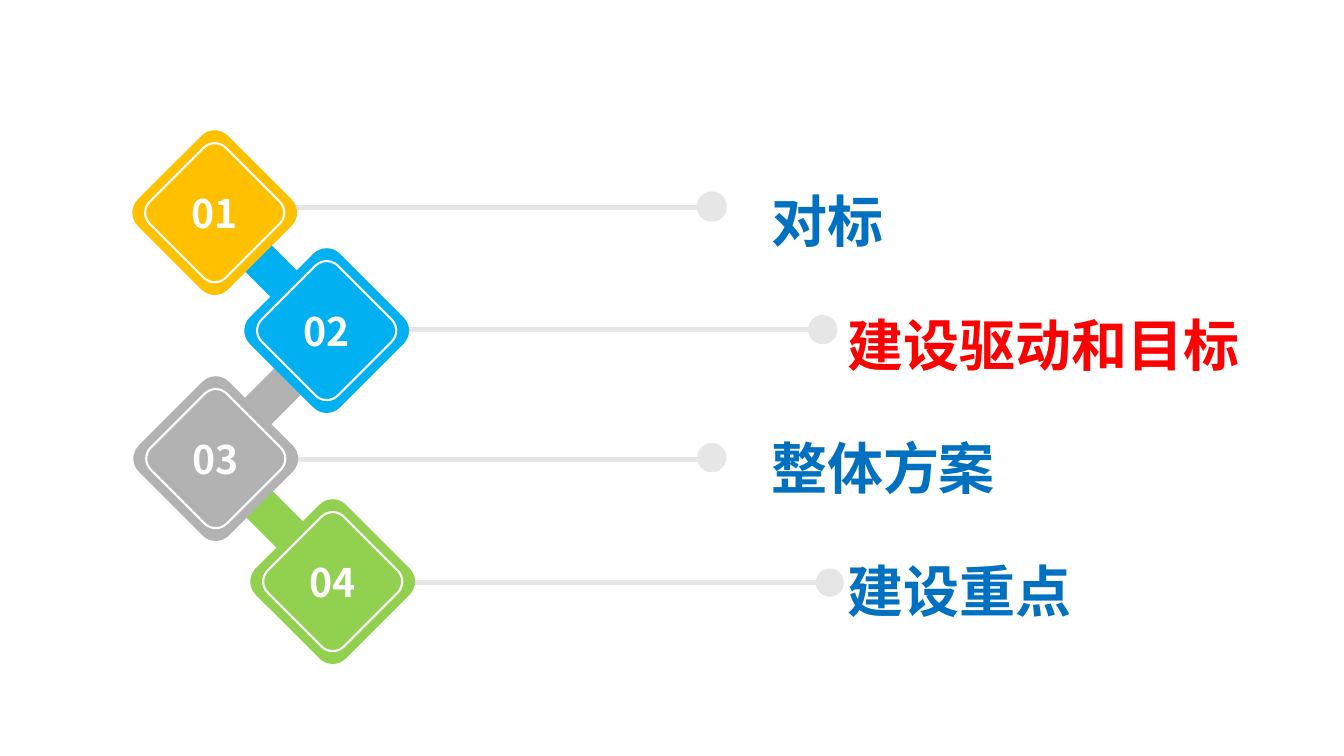
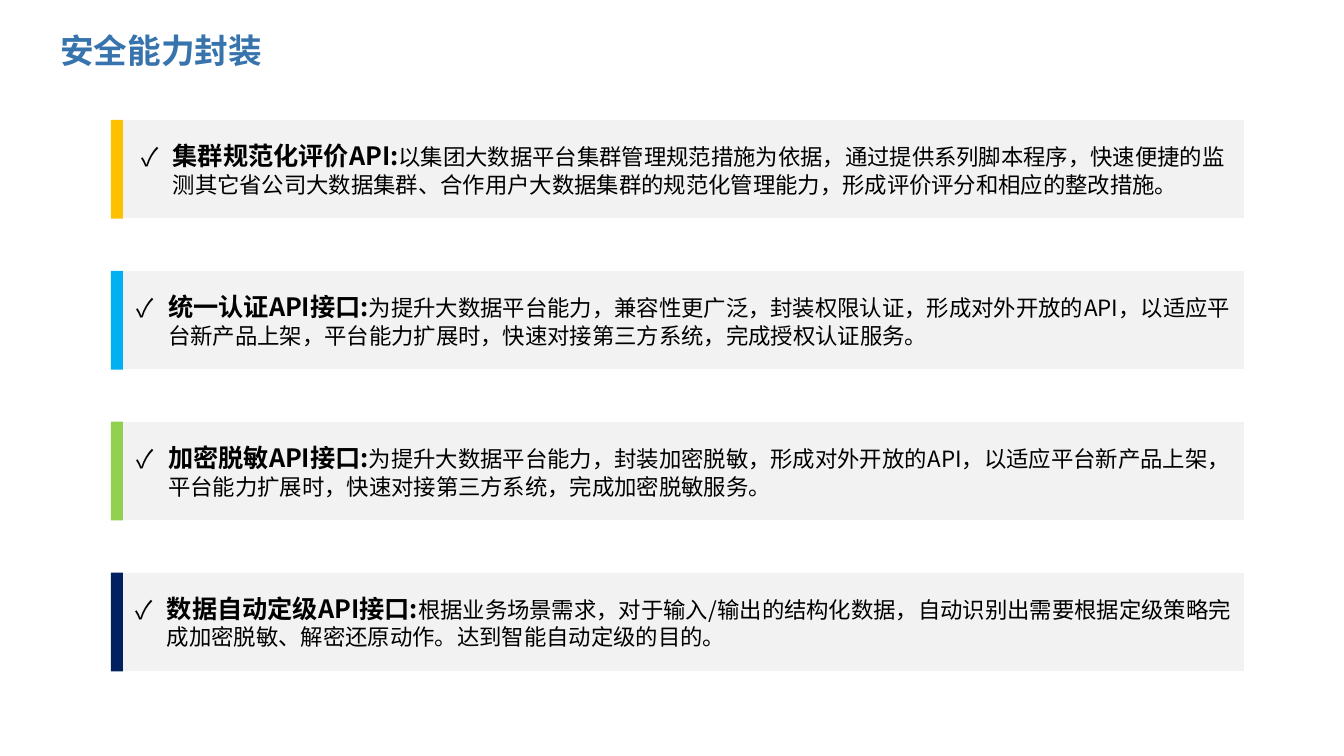
import lxml.etree
import pptx
import pptx.dml.color
import pptx.enum.shapes
import pptx.enum.text
import pptx.oxml.ns
import pptx.util

Inches = pptx.util.Inches
Pt = pptx.util.Pt
KIND = pptx.enum.shapes.MSO_SHAPE
ALIGN = pptx.enum.text.PP_ALIGN
MIDDLE = pptx.enum.text.MSO_ANCHOR.MIDDLE
qn = pptx.oxml.ns.qn

FONT = "Noto Sans CJK SC"
COLORS = {
    "gold": "FFC000", "sky": "00B0F0", "gray": "B2B2B2", "green": "92D050",
    "navy": "002060", "blue": "0070C0", "red": "FF0000", "title": "3773AC",
    "pale": "E6E6E6", "panel": "F2F2F2", "white": "FFFFFF", "black": "000000",
}


class Deck:
    def __init__(self):
        self.file = pptx.Presentation()
        self.file.slide_width = Inches(13.33)
        self.file.slide_height = Inches(7.5)
        self.slide = None

    def page(self):
        self.slide = self.file.slides.add_slide(self.file.slide_layouts[6])

    def tint(self, name):
        return pptx.dml.color.RGBColor.from_string(COLORS[name])

    def paint(self, shape, fill=None, line=None, width=1.5):
        shape.shadow.inherit = False
        if fill:
            shape.fill.solid()
            shape.fill.fore_color.rgb = self.tint(fill)
        else:
            shape.fill.background()
        if line:
            shape.line.color.rgb = self.tint(line)
            shape.line.width = Pt(width)
        else:
            shape.line.fill.background()
        return shape

    def style(self, run, size, color, bold=True):
        run.font.name = FONT
        run.font.size = Pt(size)
        run.font.bold = bold
        run.font.color.rgb = self.tint(color)
        east = lxml.etree.SubElement(run.font._element, qn("a:ea"))
        east.set("typeface", FONT)

    def shape(self, kind, left, top, width, height, fill, line=None, weight=2):
        item = self.slide.shapes.add_shape(
            kind, Inches(left), Inches(top), Inches(width), Inches(height))
        return self.paint(item, fill, line, weight)

    def box(self, left, top, width, height):
        frame = self.slide.shapes.add_textbox(
            Inches(left), Inches(top), Inches(width), Inches(height)).text_frame
        frame.word_wrap = True
        return frame

    def title(self, text):
        frame = self.box(0.5, 0.18, 9.53, 0.63)
        frame.vertical_anchor = MIDDLE
        frame.text = text
        self.style(frame.paragraphs[0].runs[0], 24, "title")

    def rule(self, left, right, y):
        line = self.slide.shapes.add_connector(
            pptx.enum.shapes.MSO_CONNECTOR.STRAIGHT,
            Inches(left), Inches(y), Inches(right), Inches(y))
        line.line.color.rgb = self.tint("pale")
        line.line.width = Pt(3.6)
        lxml.etree.SubElement(line._element.spPr, qn("a:effectLst"))

    def dot(self, x, y, size):
        self.shape(KIND.OVAL, x - size / 2, y - size / 2, size, size, "pale")

    def link(self, x, y, angle, fill):
        long, wide = 1.2, 0.37
        bar = self.shape(KIND.ROUNDED_RECTANGLE, x - long / 2, y - wide / 2,
                         long, wide, fill)
        bar.adjustments[0] = 0.5
        bar.rotation = angle

    def gem(self, x, y, half, nub, fill=None, line=None):
        # Each tip: curve start, two control points, curve end
        tip = ((half - 0.55 * nub, -nub), (half, -0.42 * nub),
               (half, 0.42 * nub), (half - 0.55 * nub, nub))
        points = [(Inches(x + u * cos - v * sin), Inches(y + u * sin + v * cos))
                  for cos, sin in ((1, 0), (0, 1), (-1, 0), (0, -1))
                  for u, v in tip]
        form = self.slide.shapes.build_freeform(*points[0])
        form.add_line_segments(points[1:])
        item = form.convert_to_shape()
        # Turn the three segments of each tip into one curve
        lines = list(item._element.iter(qn("a:lnTo")))
        for i in range(0, len(points), 4):
            curve = lxml.etree.Element(qn("a:cubicBezTo"))
            lines[i].addprevious(curve)
            for part in lines[i:i + 3]:
                curve.append(part[0])
                part.getparent().remove(part)
        return self.paint(item, fill, line)

    def badge(self, x, y, text, fill):
        frame = self.gem(x, y, 0.835, 0.13, fill).text_frame
        frame.vertical_anchor = MIDDLE
        frame.text = text
        frame.paragraphs[0].alignment = ALIGN.CENTER
        self.style(frame.paragraphs[0].runs[0], 28, "white")
        self.gem(x, y, 0.705, 0.11, line="white")

    def labels(self, items):
        frame = self.box(7.55, 1.36, 5.56, 4.99)
        for i, (text, color, shift) in enumerate(items):
            para = frame.add_paragraph() if i else frame.paragraphs[0]
            para.text = text
            para.line_spacing = Pt(80)
            para.space_before = Pt(8 if i else 0)
            para._p.get_or_add_pPr().set("marL", str(Inches(shift)))
            self.style(para.runs[0], 40, color)

    def panel(self, top, head, body, fill):
        card = self.shape(KIND.RECTANGLE, 1.21, top, 11.14, 1, "panel", "white")
        frame = card.text_frame
        frame.word_wrap = True
        frame.vertical_anchor = MIDDLE
        frame.margin_left = frame.margin_right = Inches(0.09)
        frame.margin_top = frame.margin_bottom = Inches(0.05)
        frame._txBody.bodyPr.set("anchorCtr", "1")
        para = frame.paragraphs[0]
        para.alignment = ALIGN.LEFT
        props = para._p.get_or_add_pPr()
        props.set("marL", str(Inches(0.31)))
        props.set("indent", str(Inches(-0.31)))
        lxml.etree.SubElement(props, qn("a:buFont")).set("typeface", FONT)
        lxml.etree.SubElement(props, qn("a:buChar")).set("char", "✓")
        for text, size, bold in ((head, 18, True), (body, 16, False)):
            run = para.add_run()
            run.text = text
            self.style(run, size, "black", bold)
        self.shape(KIND.RECTANGLE, 1.1, top + 0.01, 0.12, 0.98, fill)


def agenda(deck):
    deck.page()
    # Leader lines and their dots
    for left, right, line_y, dot_y, size in (
            (2.72, 7.06, 2.06, 2.05, 0.3), (3.82, 8.16, 3.27, 3.27, 0.29),
            (2.72, 7.06, 4.56, 4.54, 0.29), (3.89, 8.23, 5.78, 5.78, 0.28)):
        deck.rule(left, right, line_y)
        deck.dot(right, dot_y, size)
    # Links between badges
    for x, y, angle, fill in ((2.65, 5.08, 45, "green"), (2.64, 2.64, 45, "sky"),
                              (2.79, 3.85, -45, "gray")):
        deck.link(x, y, angle, fill)
    # Numbered badges
    for i, (x, y, fill) in enumerate((
            (2.13, 2.11, "gold"), (3.24, 3.28, "sky"),
            (2.14, 4.55, "gray"), (3.3, 5.77, "green")), 1):
        deck.badge(x, y, f"{i:02}", fill)
    # Chapter names
    deck.labels((("对标", "blue", 0), ("建设驱动和目标", "red", 0.76),
                 ("整体方案", "blue", 0), ("建设重点", "blue", 0.76)))


def skills(deck):
    deck.page()
    deck.title("安全能力封装")
    # Panels spread evenly from first to last top
    rows = (
        ("集群规范化评价API:",
         "以集团大数据平台集群管理规范措施为依据，通过提供系列脚本程序，快速便捷的监测其它省公司大数据集群、"
         "合作用户大数据集群的规范化管理能力，形成评价评分和相应的整改措施。", "gold"),
        ("统一认证API接口:",
         "为提升大数据平台能力，兼容性更广泛，封装权限认证，形成对外开放的API，以适应平台新产品上架，"
         "平台能力扩展时，快速对接第三方系统，完成授权认证服务。", "sky"),
        ("加密脱敏API接口:",
         "为提升大数据平台能力，封装加密脱敏，形成对外开放的API，以适应平台新产品上架，"
         "平台能力扩展时，快速对接第三方系统，完成加密脱敏服务。", "green"),
        ("数据自动定级API接口:",
         "根据业务场景需求，对于输入/输出的结构化数据，自动识别出需要根据定级策略完成加密脱敏、解密还原动作。"
         "达到智能自动定级的目的。", "navy"),
    )
    first, last = 1.18, 5.67
    pitch = (last - first) / (len(rows) - 1)
    for i, (head, body, fill) in enumerate(rows):
        deck.panel(first + i * pitch, head, body, fill)


def main():
    deck = Deck()
    agenda(deck)
    skills(deck)
    deck.file.save("out.pptx")


if __name__ == "__main__":
    main()
